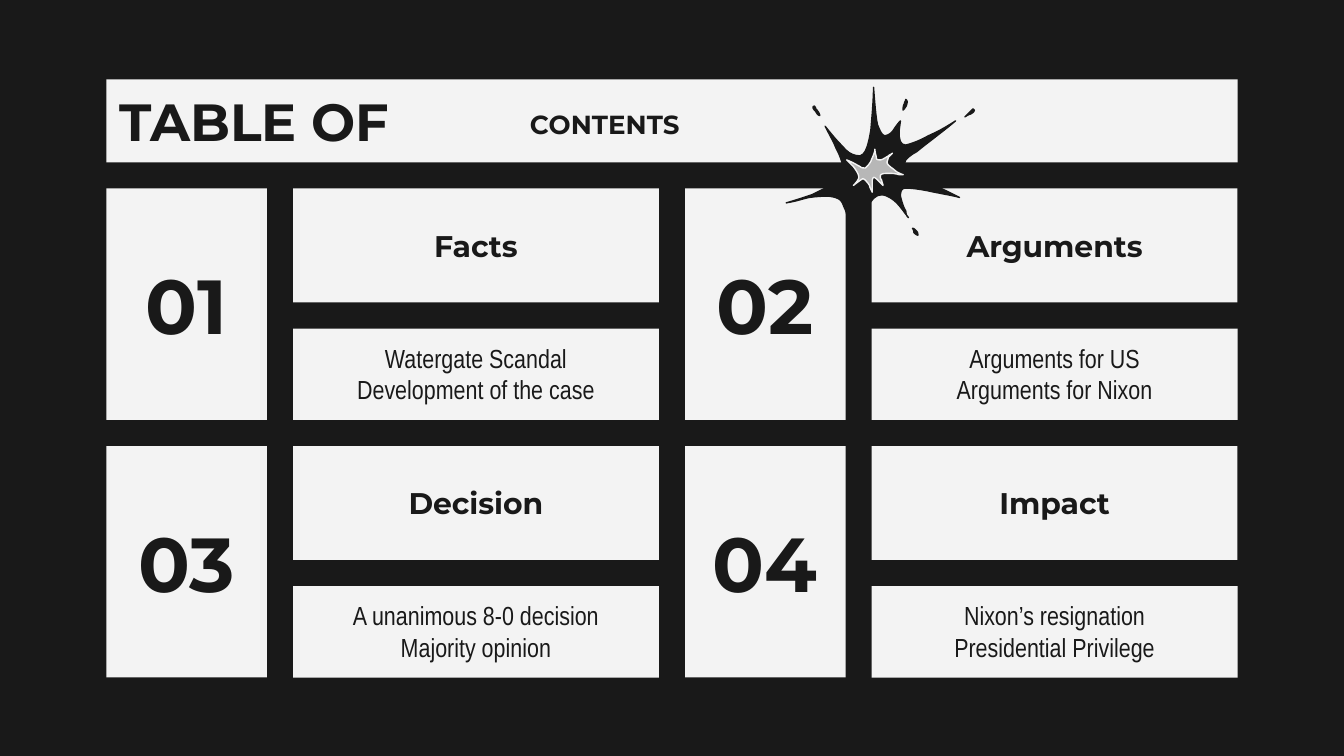
from pptx import Presentation
from pptx import util as u
from pptx.dml.color import RGBColor
from pptx.enum import shapes, text
from pptx.oxml import parse_xml
from pptx.oxml.ns import nsdecls

COLORS = {"ink": "191919", "card": "F3F3F3", "spark": "B7B7B7"}
HEAD_FONT, BODY_FONT = "Montserrat", "Arial Narrow"

TITLE, SUBTITLE = "TABLE OF", "CONTENTS"
SECTIONS = [
    ("01", "Facts", ["Watergate Scandal", "Development of the case"]),
    ("02", "Arguments", ["Arguments for US", "Arguments for Nixon"]),
    ("03", "Decision", ["A unanimous 8-0 decision", "Majority opinion"]),
    ("04", "Impact", ["Nixon’s resignation", "Presidential Privilege"]),
]

LEFT, TOP, GAP = 57, 42.5, 14
BAND_HEIGHT, HEADING_HEIGHT, LIST_HEIGHT = 44.5, 61, 49
NUMBER_WIDTH, HEADING_WIDTH = 86, 196
COLUMN_STEP = NUMBER_WIDTH + HEADING_WIDTH + 2 * GAP
NUMBER_HEIGHT = HEADING_HEIGHT + GAP + LIST_HEIGHT
BAND_WIDTH = 2 * COLUMN_STEP - GAP

# Each contour is a start point, then cubic curves (six values) or lines (two).
DROPS = [
    [(674, 74), (674, 75, 673, 76, 673, 77), (672, 79, 672, 80, 672, 82),
     (674, 80, 675, 78, 675, 76), (675, 75, 675, 75, 674, 74)],
    [(606, 79), (605, 79, 605, 80, 605, 80), (605, 81, 606, 82, 607, 83),
     (608, 85, 609, 86, 610, 86), (610, 85, 609, 83, 607, 81), (607, 80, 606, 79, 606, 79)],
    [(724, 81), (723, 82, 722, 83, 721, 84), (720, 85, 719, 86, 718, 87),
     (721, 85, 722, 85, 722, 85), (724, 84, 725, 83, 725, 82)],
    [(679, 170), (679, 170, 680, 171, 680, 173), (681, 174, 682, 175, 683, 175),
     (683, 174, 683, 173, 682, 172), (680, 170, 680, 170, 679, 170)],
]
SPLASH = [
    (650, 65), (650, 74, 649, 85, 648, 97), (646, 109, 644, 115, 640, 116),
    (635, 116, 631, 114, 627, 109), (622, 104, 618, 99, 614, 94),
    (617, 100, 620, 105, 622, 110), (624, 114, 626, 118, 627, 123),
    (627, 129, 625, 133, 620, 136), (615, 140, 610, 142, 604, 145),
    (598, 147, 592, 149, 585, 151), (592, 150, 597, 148, 602, 147),
    (609, 146, 613, 146, 615, 146), (619, 146, 622, 147, 624, 148),
    (626, 149, 627, 151, 628, 154), (630, 157, 631, 163, 632, 173),
    (633, 183, 633, 192, 634, 202), (638, 182, 642, 169, 643, 162),
    (646, 150, 651, 145, 656, 145), (658, 145, 661, 146, 665, 149),
    (669, 152, 672, 157, 676, 162), (675, 161, 674, 160, 674, 157),
    (672, 154, 671, 150, 670, 146), (670, 142, 671, 140, 674, 140),
    (679, 140, 686, 141, 695, 143), (705, 145, 711, 146, 714, 147),
    (706, 143, 698, 139, 689, 135), (680, 131, 675, 128, 674, 125),
    (673, 123, 673, 121, 674, 119), (676, 117, 678, 115, 682, 113),
    (693, 104, 703, 97, 711, 90), (705, 94, 698, 98, 691, 101),
    (684, 105, 678, 107, 674, 108), (669, 108, 668, 102, 670, 90),
    (668, 92, 666, 95, 664, 98), (662, 100, 660, 101, 658, 101),
    (656, 100, 655, 98, 653, 93), (652, 89, 651, 79, 650, 65),
]
SPARK = [
    (651, 111), (651, 114, 649, 117, 648, 120), (647, 122, 645, 124, 644, 125),
    (642, 125, 641, 125, 640, 124), (638, 123, 635, 121, 630, 119),
    (632, 121, 634, 123, 635, 124), (638, 128, 639, 130, 639, 132),
    (639, 133, 638, 135, 635, 138), (640, 134, 642, 133, 642, 133),
    (643, 133, 645, 135, 647, 138), (647, 139, 648, 141, 649, 143),
    (649, 135), (649, 134, 649, 133, 650, 132), (651, 132, 652, 133, 653, 134),
    (654, 135, 655, 136, 657, 138), (657, 137, 656, 135, 656, 134),
    (655, 133, 655, 132, 655, 131), (655, 130, 656, 129, 660, 129),
    (663, 129, 666, 129, 669, 130), (672, 130), (669, 129, 667, 128, 665, 126),
    (662, 124, 660, 122, 660, 121), (660, 120, 661, 118, 661, 117),
    (662, 116, 663, 115, 664, 114), (663, 115, 662, 115, 661, 116),
    (658, 118, 656, 119, 655, 119), (653, 119, 652, 119, 652, 117),
    (652, 116, 651, 114, 651, 111),
]
CURVE_STEPS, UNIT = 5, 0.72


def rgb(name):
    return RGBColor.from_string(COLORS[name])


def place(shape, left, top, width, height):
    shape.left, shape.top = u.Pt(left), u.Pt(top)
    shape.width, shape.height = u.Pt(width), u.Pt(height)


def write(box, lines, size, font=HEAD_FONT, bold=True, align="CENTER", anchor="MIDDLE", inset=7.2):
    frame = box.text_frame
    frame.word_wrap = True
    frame.auto_size = text.MSO_AUTO_SIZE.NONE
    frame.vertical_anchor = text.MSO_ANCHOR[anchor]
    frame.margin_left = frame.margin_right = u.Pt(7.2)
    frame.margin_top = frame.margin_bottom = u.Pt(inset)
    for index, line in enumerate(lines):
        para = frame.add_paragraph() if index else frame.paragraphs[0]
        para.alignment = text.PP_ALIGN[align]
        para.space_before = para.space_after = u.Pt(0)
        properties = para._p.get_or_add_pPr()
        properties.set("marL", "0")
        properties.set("indent", "0")
        properties.append(parse_xml(f"<a:buNone {nsdecls('a')}/>"))
        span = para.add_run()
        span.text = line
        span.font.name, span.font.size, span.font.bold = font, u.Pt(size), bold
        span.font.color.rgb = rgb("ink")


def paint(shape, fill, line=None):
    shape.fill.solid()
    shape.fill.fore_color.rgb = rgb(fill)
    if line:
        shape.line.color.rgb = rgb(line)
        shape.line.width = u.Pt(0.75)
    else:
        shape.line.fill.background()


def add_card(page, left, top, width, height):
    card = page.shapes.add_shape(shapes.MSO_SHAPE.RECTANGLE, 0, 0, 0, 0)
    card.shadow.inherit = False
    place(card, left, top, width, height)
    paint(card, "card")
    return card


def flatten(contour):
    points = [contour[0]]
    for segment in contour[1:]:
        if len(segment) == 2:
            points.append(segment)
            continue
        start, first, second, end = points[-1], segment[:2], segment[2:4], segment[4:]
        for step in range(1, CURVE_STEPS + 1):
            t = step / CURVE_STEPS
            s = 1 - t
            points.append(tuple(
                s**3 * a + 3 * s * s * t * b + 3 * s * t * t * c + t**3 * d
                for a, b, c, d in zip(start, first, second, end)))
    return [(u.Pt(x * UNIT), u.Pt(y * UNIT)) for x, y in points]


def add_outline(page, contours, fill, line):
    first, *others = [flatten(contour) for contour in contours]
    builder = page.shapes.build_freeform(*first[0])
    builder.add_line_segments(first[1:], close=True)
    for points in others:
        builder.move_to(*points[0])
        builder.add_line_segments(points[1:], close=True)
    shape = builder.convert_to_shape()
    shape.shadow.inherit = False
    paint(shape, fill, line)


deck = Presentation()
deck.slide_width, deck.slide_height = u.Pt(720), u.Pt(405)
page = deck.slides.add_slide(deck.slide_layouts.get_by_name("Comparison"))
page.background.fill.solid()
page.background.fill.fore_color.rgb = rgb("ink")

title, *lists = page.placeholders
place(title, LEFT, TOP, BAND_WIDTH, BAND_HEIGHT)
paint(title, "card")
write(title, [TITLE], 28, align="LEFT")

for index, (number, heading, items) in enumerate(SECTIONS):
    row, column = divmod(index, 2)
    left = LEFT + column * COLUMN_STEP
    top = TOP + BAND_HEIGHT + GAP + row * (NUMBER_HEIGHT + GAP)
    heading_left = left + NUMBER_WIDTH + GAP
    write(add_card(page, left, top, NUMBER_WIDTH, NUMBER_HEIGHT), [number], 41)
    write(add_card(page, heading_left, top, HEADING_WIDTH, HEADING_HEIGHT), [heading], 16)
    place(lists[index], heading_left, top + HEADING_HEIGHT + GAP, HEADING_WIDTH, LIST_HEIGHT)
    paint(lists[index], "card")
    write(lists[index], items, 14, font=BODY_FONT, bold=False, anchor="TOP")

subtitle = page.shapes.add_textbox(u.Pt(234.7), u.Pt(54.7), u.Pt(178.6), u.Pt(20.2))
write(subtitle, [SUBTITLE], 14, anchor="TOP", inset=3.6)

add_outline(page, DROPS + [SPLASH], "ink", "ink")
add_outline(page, [SPARK], "spark", "card")

deck.save("out.pptx")
